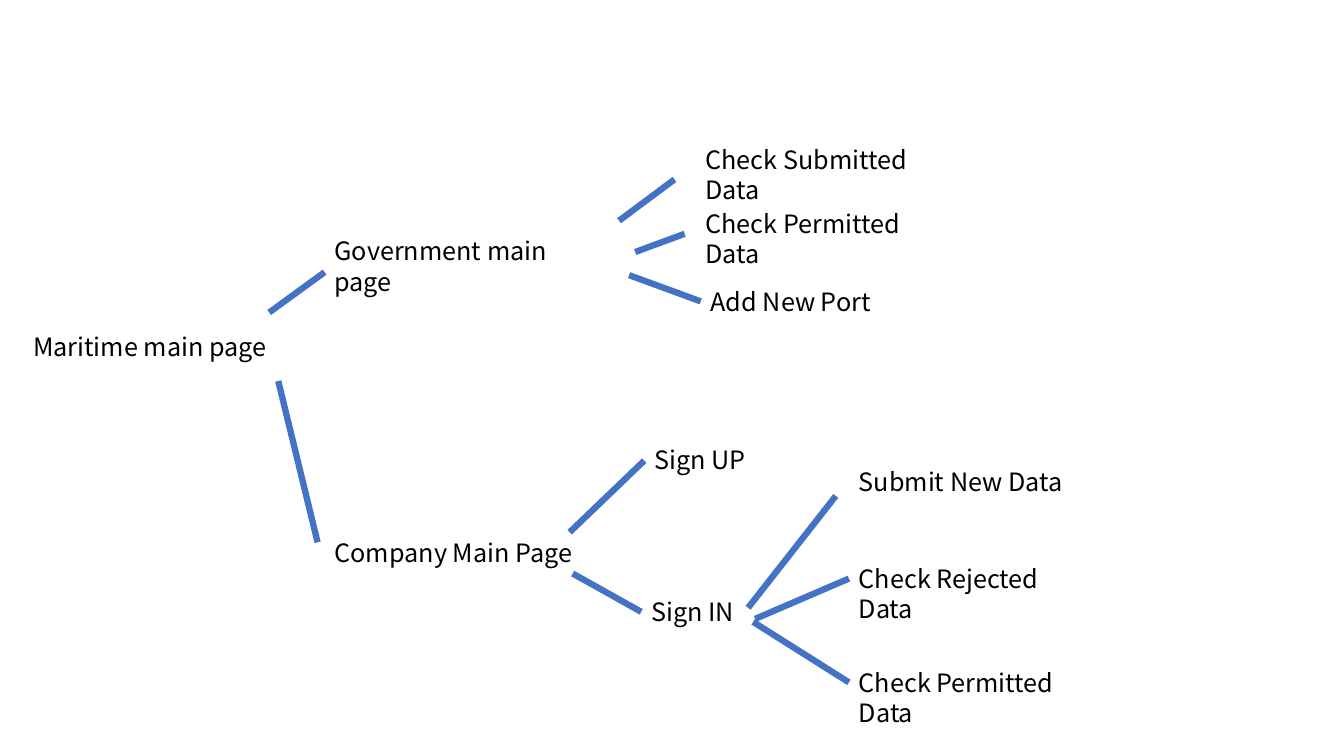
from pptx import Presentation
from pptx.dml.color import RGBColor
from pptx.enum.shapes import MSO_CONNECTOR
from pptx.enum.text import MSO_AUTO_SIZE
from pptx.oxml.ns import qn
from pptx.util import Inches, Pt
from lxml.etree import SubElement

COLORS = {"text": "000000", "branch": "4472C4"}
FONT = "Noto Sans CJK KR"
LABEL_H = 0.4

# Pages of the site map: text, left, top, width
PAGES = [
    ("Maritime main page", 0.23, 3.24, 2.6),
    ("Government main page", 3.22, 2.29, 2.85),
    ("Check Submitted Data", 6.9, 1.38, 2.7),
    ("Check Permitted Data", 6.9, 2.02, 2.65),
    ("Add New Port", 6.95, 2.79, 1.9),
    ("Company Main Page", 3.22, 5.28, 2.65),
    ("Sign UP", 6.39, 4.36, 1.15),
    ("Sign IN", 6.36, 5.87, 1.1),
    ("Submit New Data", 8.42, 4.58, 2.3),
    ("Check Rejected Data", 8.42, 5.54, 2.5),
    ("Check Permitted Data", 8.42, 6.57, 2.65),
]

# Branches from a page to its subpages: start x, y, end x, y
BRANCHES = [
    # Maritime
    (2.67, 3.1, 3.22, 2.7),
    (2.76, 3.78, 3.15, 5.38),
    # Government
    (6.14, 2.19, 6.69, 1.78),
    (6.3, 2.5, 6.79, 2.32),
    (6.24, 2.73, 6.95, 2.99),
    # Company
    (5.65, 5.28, 6.39, 4.57),
    (5.68, 5.69, 6.36, 6.07),
    # Sign IN
    (7.42, 6.03, 8.29, 4.92),
    (7.49, 6.14, 8.42, 5.74),
    (7.47, 6.17, 8.42, 6.77),
]

prs = Presentation()
prs.slide_width, prs.slide_height = Inches(13.33), Inches(7.5)
s = prs.slides.add_slide(prs.slide_layouts[6])


def add_text(text, left, top, width, size=18, color="text", font=FONT):
    box = s.shapes.add_textbox(*map(Inches, (left, top, width, LABEL_H)))
    tf = box.text_frame
    tf.word_wrap = True
    tf.auto_size = MSO_AUTO_SIZE.SHAPE_TO_FIT_TEXT
    r = tf.paragraphs[0].add_run()
    r.text = text
    r.font.name, r.font.size = font, Pt(size)
    r.font.color.rgb = RGBColor.from_string(COLORS[color])


def add_branch(*ends):
    line = s.shapes.add_connector(MSO_CONNECTOR.STRAIGHT, *map(Inches, ends))
    line.line.color.rgb = RGBColor.from_string(COLORS["branch"])
    line.line.width = Pt(4.5)
    SubElement(line._element.spPr, qn("a:effectLst"))


# Labels, then the branches over them
for page in PAGES:
    add_text(*page)
for branch in BRANCHES:
    add_branch(*branch)

prs.save("out.pptx")
